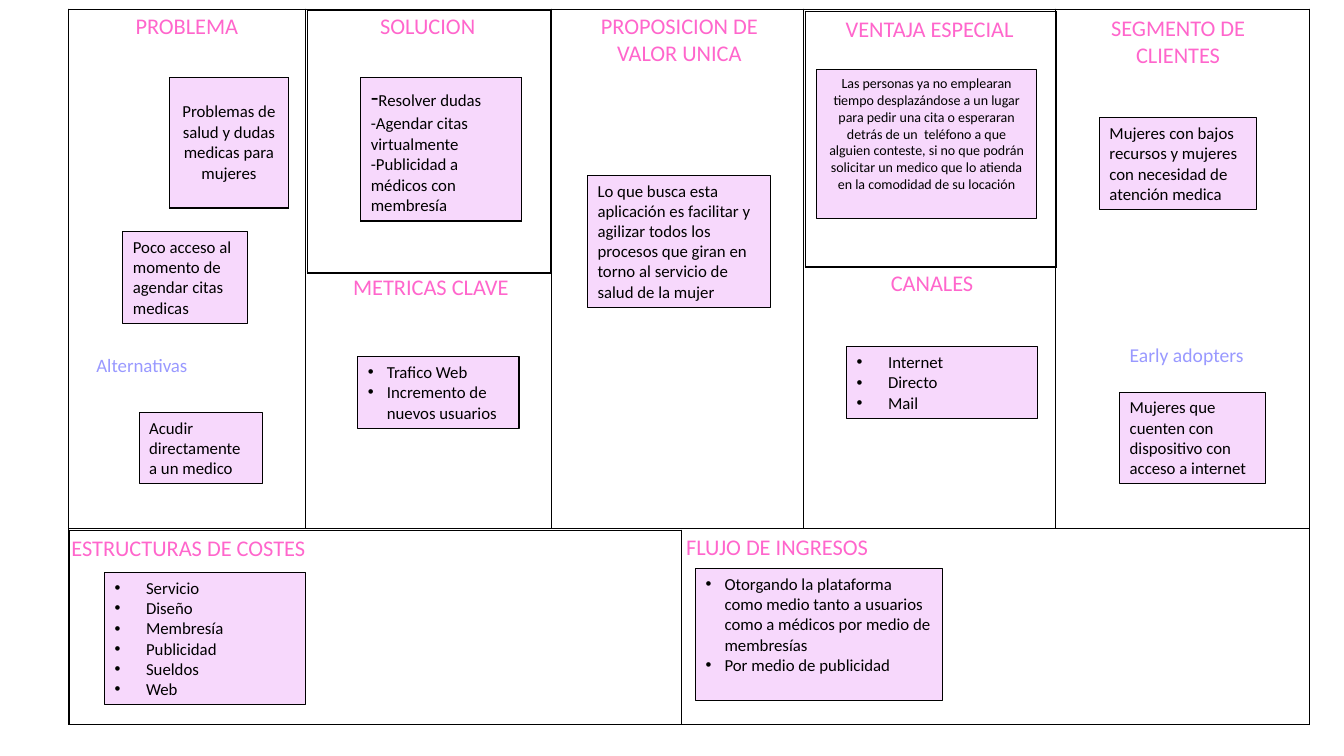
from lxml import etree
from pptx import Presentation
from pptx.dml.color import RGBColor
from pptx.enum.shapes import MSO_SHAPE
from pptx.enum.text import MSO_ANCHOR, MSO_AUTO_SIZE, PP_ALIGN
from pptx.oxml.ns import qn
from pptx.util import Cm, Pt

RECTANGLE = MSO_SHAPE.RECTANGLE
TOP, MIDDLE = MSO_ANCHOR.TOP, MSO_ANCHOR.MIDDLE
NO_RESIZE = MSO_AUTO_SIZE.NONE
LEFT, CENTER = PP_ALIGN.LEFT, PP_ALIGN.CENTER

COLORS = {"heading": "FF66CC", "subheading": "9999FF", "note": "F7D8FC", "ink": "000000"}
FONT = "Calibri"
COMPARISON_LAYOUT = 4
COLUMN_EDGES = [1.73, 7.7, 13.89, 20.24, 26.59, 33]
CANVAS_TOP, CANVAS_HEIGHT, COLUMN_HEIGHT = 0.23, 18.03, 13.08
INNER_PANELS = [
    (7.75, 0.25, 6.12, 6.63),
    (20.29, 0.28, 6.32, 6.45),
    (1.75, 13.36, 15.42, 4.9),
]
TITLE = ("PROPOSICION DE VALOR UNICA", (14.43, 0.18, 5.38, 1.63))
HEADINGS = [
    ("PROBLEMA", (2.03, 0.18, 5.36, 0.94), CENTER),
    ("SOLUCION", (8.15, 0.18, 5.26, 0.94), CENTER),
    ("VENTAJA ESPECIAL", (21.03, 0.25, 4.8, 0.94), CENTER),
    ("SEGMENTO DE CLIENTES", (27.33, 0.23, 4.72, 1.63), CENTER),
    ("METRICAS CLAVE", (8.28, 6.76, 5.16, 0.94), CENTER),
    ("CANALES", (22.2, 6.65, 4.8, 0.94), LEFT),
    ("ESTRUCTURAS DE COSTES", (1.55, 13.34, 8.92, 0.94), LEFT),
    ("FLUJO DE INGRESOS", (17.04, 13.31, 6.86, 0.94), LEFT),
]
SUBHEADINGS = [
    ("Alternativas", (2.18, 8.79, 4.06, 0.86), 13.5),
    ("Early adopters", (28.22, 8.51, 3.84, 0.86), 14),
]
NOTES = [
    ("Poco acceso al momento de agendar citas medicas", (3.1, 5.84, 3.15, 2.31), 12, LEFT),
    ("Acudir directamente a un medico", (3.51, 10.39, 3.1, 1.8), 12, LEFT),
    ("Lo que busca esta aplicación es facilitar y agilizar todos los procesos "
     "que giran en torno al servicio de salud de la mujer", (14.81, 4.42, 4.6, 3.33), 12, LEFT),
    ("Las personas ya no emplearan tiempo desplazándose a un lugar para pedir una cita "
     "o esperaran detrás de un  teléfono a que alguien conteste, si no que podrán solicitar "
     "un medico que lo atienda en la comodidad de su locación",
     (20.57, 1.75, 5.56, 3.76), 10, CENTER),
    ("Mujeres con bajos recursos y mujeres con necesidad de atención medica",
     (27.71, 2.97, 3.96, 2.31), 12, LEFT),
    ("Mujeres que cuenten con dispositivo con acceso a internet",
     (28.22, 9.88, 3.68, 2.31), 12, LEFT),
]
LISTS = [
    (["Trafico Web", "Incremento de nuevos usuarios"], (9.02, 8.99, 4.06, 1.8), 0.48),
    (["Internet", "Directo", "Mail"], (21.34, 8.74, 4.8, 1.8), 0.79),
    (["Servicio", "Diseño", "Membresía", "Publicidad", "Sueldos", "Web"],
     (2.64, 14.43, 5.05, 3.33), 0.79),
    (["Otorgando la plataforma como medio tanto a usuarios como a médicos por medio de membresías",
      "Por medio de publicidad"], (17.53, 14.33, 6.22, 3.33), 0.48),
]
TABLE_NOTES = [
    ([[("Problemas de salud y dudas medicas para mujeres", 12)]],
     (4.27, 1.96, 3, 3.28), CENTER),
    ([[("-", 18), ("Resolver dudas", 12)],
      [("-Agendar citas virtualmente", 12)],
      [("-Publicidad a médicos con membresía", 12)]],
     (9.09, 1.96, 4.06, 3.56), LEFT),
]


def assign(target, values):
    for name, value in values.items():
        setattr(target, name, value)


def lengths(place):
    return [Cm(value) for value in place]


def color(name):
    return RGBColor.from_string(COLORS[name])


def write(frame, paragraphs, ink="ink", align=LEFT):
    for index, spans in enumerate(paragraphs):
        para = frame.add_paragraph() if index else frame.paragraphs[0]
        assign(para, {"alignment": align, "space_before": Pt(0), "line_spacing": 1.0})
        for text, size in spans:
            span = para.add_run()
            span.text = text
            assign(span.font, {"name": FONT, "size": Pt(size), "bold": False})
            span.font.color.rgb = color(ink)


def prepare_frame(box):
    assign(box.text_frame, {
        "word_wrap": True, "auto_size": NO_RESIZE, "vertical_anchor": TOP,
        "margin_left": Cm(0.25), "margin_right": Cm(0.25),
        "margin_top": Cm(0.13), "margin_bottom": Cm(0.13),
    })
    return box.text_frame


def move(box, place):
    assign(box, dict(zip(("left", "top", "width", "height"), lengths(place))))


def paint_note(box):
    box.fill.solid()
    box.fill.fore_color.rgb = color("note")
    box.line.color.rgb = color("ink")
    box.line.width = Pt(0.75)


def add_label(page, text, place, size, ink, align=LEFT):
    box = page.shapes.add_textbox(*lengths(place))
    write(prepare_frame(box), [[(text, size)]], ink, align)


def add_note(page, text, place, size, align):
    box = page.shapes.add_shape(RECTANGLE, *lengths(place))
    box.shadow.inherit = False
    paint_note(box)
    write(prepare_frame(box), [[(text, size)]], align=align)


def add_bullets(para, indent):
    properties = para._p.get_or_add_pPr()
    properties.set("marL", str(Cm(indent)))
    properties.set("indent", str(-Cm(indent)))
    etree.SubElement(properties, qn("a:buFont")).set("typeface", "Arial")
    etree.SubElement(properties, qn("a:buChar")).set("char", "•")


def fill_list(box, items, place, indent):
    move(box, place)
    paint_note(box)
    frame = prepare_frame(box)
    write(frame, [[(item, 12)] for item in items])
    for para in frame.paragraphs:
        add_bullets(para, indent)


def add_borders(cell):
    properties = cell._tc.get_or_add_tcPr()
    for index, side in enumerate(("lnL", "lnR", "lnT", "lnB")):
        border = etree.Element(qn("a:" + side), w=str(Pt(1)))
        fill = etree.SubElement(border, qn("a:solidFill"))
        etree.SubElement(fill, qn("a:srgbClr")).set("val", COLORS["ink"])
        properties.insert(index, border)


def add_panel(page, place):
    table = page.shapes.add_table(1, 1, *lengths(place)).table
    assign(table, {"first_row": False, "horz_banding": False})
    cell = table.cell(0, 0)
    cell.fill.background()
    add_borders(cell)
    return cell


def add_table_note(page, paragraphs, place, align):
    cell = add_panel(page, place)
    cell.fill.solid()
    cell.fill.fore_color.rgb = color("note")
    cell.vertical_anchor = MIDDLE
    write(cell.text_frame, paragraphs, align=align)


def main():
    deck = Presentation()
    assign(deck, {"slide_width": Cm(33.87), "slide_height": Cm(19.05)})
    page = deck.slides.add_slide(deck.slide_layouts[COMPARISON_LAYOUT])
    title, *bodies = page.placeholders

    add_panel(page, (COLUMN_EDGES[0], CANVAS_TOP, COLUMN_EDGES[-1] - COLUMN_EDGES[0], CANVAS_HEIGHT))
    for left, right in zip(COLUMN_EDGES, COLUMN_EDGES[1:]):
        add_panel(page, (left, CANVAS_TOP, right - left, COLUMN_HEIGHT))
    for place in INNER_PANELS:
        add_panel(page, place)

    heading, place = TITLE
    move(title, place)
    write(prepare_frame(title), [[(heading, 16)]], "heading", CENTER)
    for text, place, align in HEADINGS:
        add_label(page, text, place, 16, "heading", align)
    for text, place, size in SUBHEADINGS:
        add_label(page, text, place, size, "subheading")
    for note in NOTES:
        add_note(page, *note)
    for note in TABLE_NOTES:
        add_table_note(page, *note)
    for body, content in zip(bodies, LISTS):
        fill_list(body, *content)

    deck.save("out.pptx")


if __name__ == "__main__":
    main()
